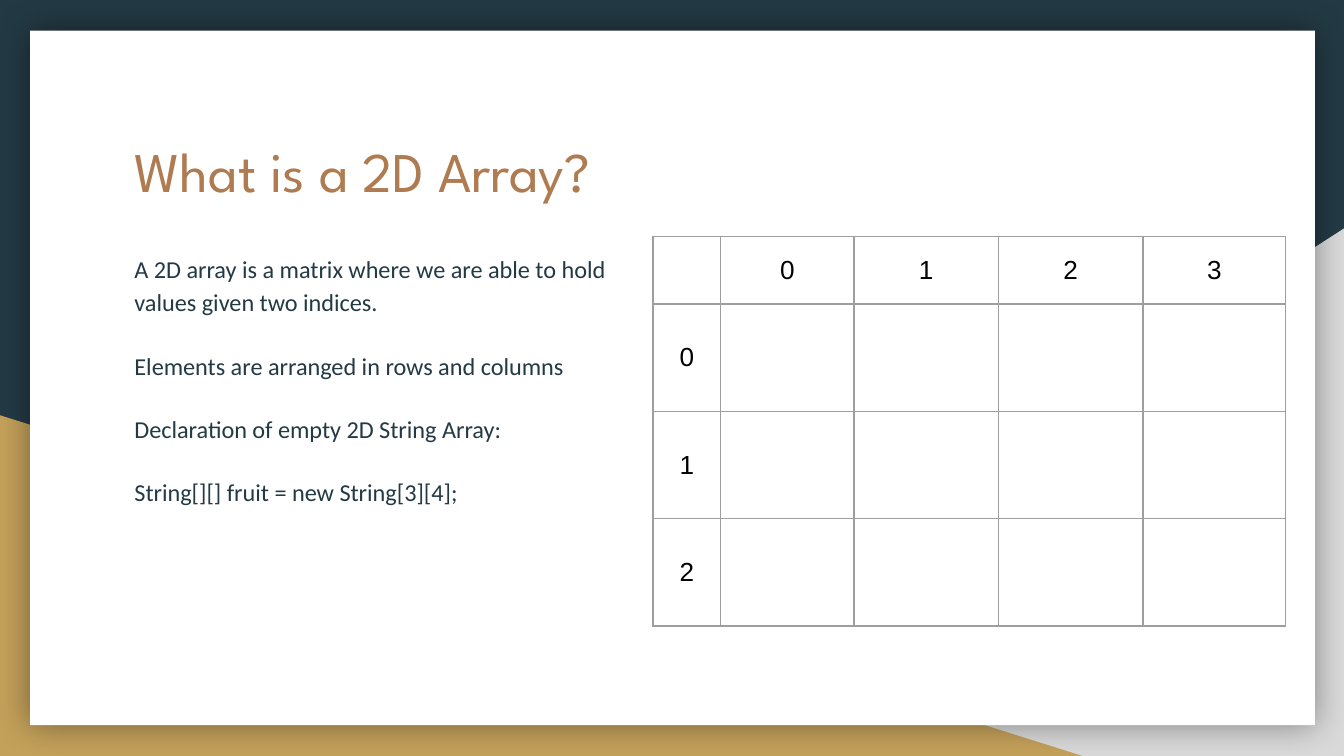
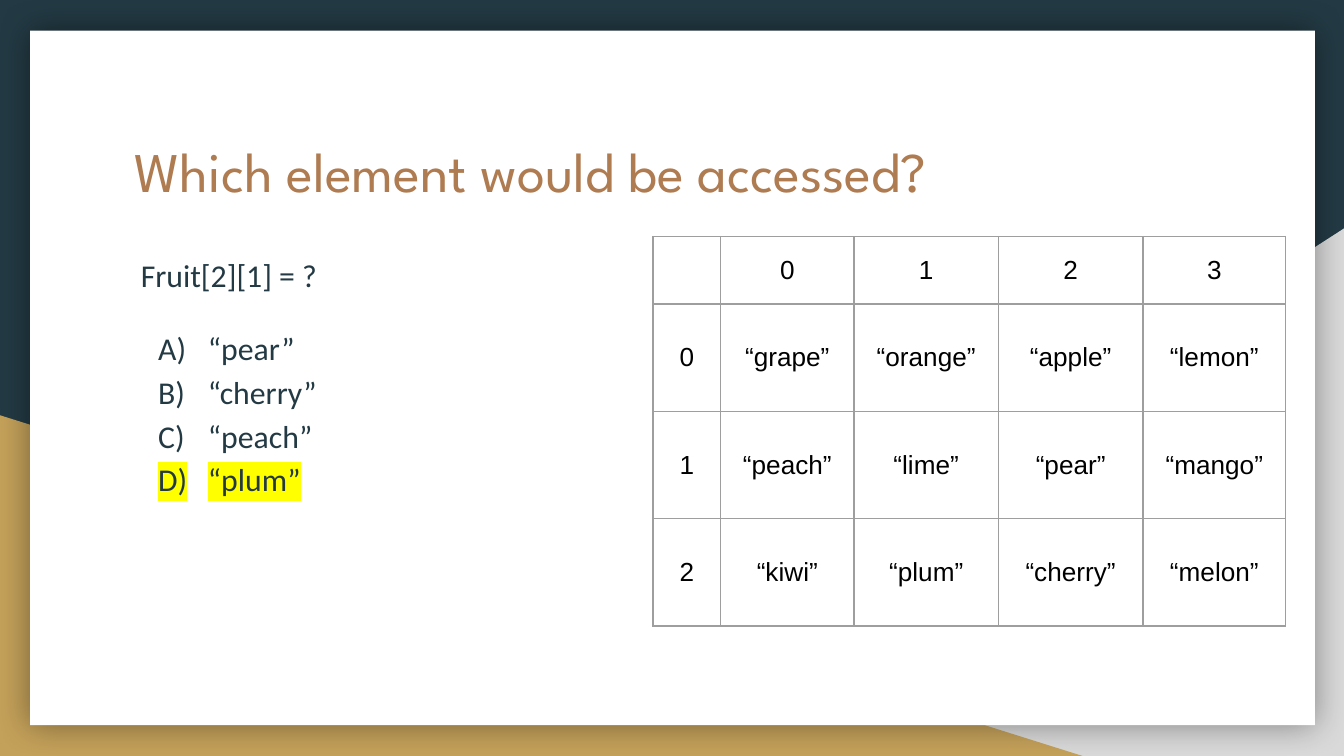
import dataclasses

import lxml.etree
import pptx
import pptx.dml.color
import pptx.enum.shapes
import pptx.enum.text
import pptx.oxml.ns
import pptx.util

Cm, Pt = pptx.util.Cm, pptx.util.Pt
RGB = pptx.dml.color.RGBColor.from_string
qn = pptx.oxml.ns.qn
SHAPE = pptx.enum.shapes.MSO_SHAPE
ANCHOR = pptx.enum.text.MSO_ANCHOR
ALIGN = pptx.enum.text.PP_ALIGN


@dataclasses.dataclass(frozen=True)
class Theme:
    navy: str = "233A44"
    gold: str = "C4A15A"
    gray: str = "D9D9D9"
    white: str = "FFFFFF"
    copper: str = "AF7B51"
    black: str = "000000"
    grid: str = "9E9E9E"
    marker: str = "FFFF00"
    title_font: str = "League Spartan"
    body_font: str = "Calibri"
    table_font: str = "Arial"
    title_size: int = 30
    text_size: int = 13
    quiz_size: int = 17
    table_size: int = 14


theme = Theme()


def add_xml(parent, tag, **attrs):
    return lxml.etree.SubElement(parent, qn(tag), attrs)


def style(p, font, size, color):
    p.font.name, p.font.size = font, Pt(size)
    p.font.color.rgb = RGB(color)


# Content
slides = [
    dict(
        title="What is a 2D Array?",
        left=2.29, width=9.98, size=theme.text_size,
        lines=[
            "A 2D array is a matrix where we are able to hold values given two indices.",
            "Elements are arranged in rows and columns",
            "Declaration of empty 2D String Array:",
            "String[][] fruit = new String[3][4];",
        ],
        options=[], answer=None,
        fruit=[[""] * 4] * 3,
    ),
    dict(
        title="Which element would be accessed?",
        left=2.41, width=9.04, size=theme.quiz_size,
        lines=["Fruit[2][1] = ?"],
        options=["“pear”", "“cherry”", "“peach”", "“plum”"], answer="“plum”",
        fruit=[
            ["“grape”", "“orange”", "“apple”", "“lemon”"],
            ["“peach”", "“lime”", "“pear”", "“mango”"],
            ["“kiwi”", "“plum”", "“cherry”", "“melon”"],
        ],
    ),
]

prs = pptx.Presentation()
prs.slide_width, prs.slide_height = Cm(25.4), Cm(14.29)
layout = prs.slide_layouts[1]
for _ in slides:
    prs.slides.add_slide(layout)

# Shared backdrop, moved to the layout behind its placeholders
layout.background.fill.solid()
layout.background.fill.fore_color.rgb = RGB(theme.navy)
backdrop = [
    (SHAPE.RIGHT_TRIANGLE, theme.gray, (9.96, 4.32, 15.44, 9.97)),
    (SHAPE.RIGHT_TRIANGLE, theme.gold, (0, 7.85, 20.46, 6.44)),
    (SHAPE.RECTANGLE, theme.white, (0.57, 0.58, 24.28, 13.13)),
]
shapes = []
for i, (kind, color, box) in enumerate(backdrop):
    sp = prs.slides[0].shapes.add_shape(kind, *map(Cm, box))
    sp.shadow.inherit = False
    sp.fill.solid()
    sp.fill.fore_color.rgb = RGB(color)
    sp.line.fill.background()
    layout.shapes.element.insert(2 + i, sp.element)
    shapes.append(sp)
gray_triangle, gold_triangle, panel = shapes
gray_triangle.element.spPr.find(qn("a:xfrm")).set("flipH", "1")
effects = panel.element.spPr.find(qn("a:effectLst"))
shadow = add_xml(effects, "a:outerShdw", blurRad=str(Pt(18)), dist="0", rotWithShape="0")
add_xml(add_xml(shadow, "a:srgbClr", val=theme.black), "a:alpha", val="40000")

for s, content in zip(prs.slides, slides):
    # Title and body frames
    title, body = s.shapes.title, s.placeholders[1]
    frames = [(title, (2.29, 2.34, 20.86, 2.64)),
              (body, (content["left"], 4.47, content["width"], 6.81))]
    for sp, box in frames:
        sp.left, sp.top, sp.width, sp.height = map(Cm, box)
        tf = sp.text_frame
        tf.word_wrap = True
        tf.auto_size = pptx.enum.text.MSO_AUTO_SIZE.NONE
        tf.vertical_anchor = ANCHOR.TOP
        tf.margin_left = tf.margin_right = tf.margin_top = tf.margin_bottom = Cm(0.25)

    title.text_frame.text = content["title"]
    p = title.text_frame.paragraphs[0]
    p.alignment, p.line_spacing = ALIGN.LEFT, 1.0
    style(p, theme.title_font, theme.title_size, theme.copper)

    # Body lines, then lettered options
    lines, options = content["lines"], content["options"]
    tf = body.text_frame
    tf.text = "\n".join(lines + options)
    for i, p in enumerate(tf.paragraphs):
        p.line_spacing = 1.15
        p.space_before = Pt(16 if 0 < i <= len(lines) else 0)
        p.space_after = Pt(0)
        style(p, theme.body_font, content["size"], theme.navy)
        is_option = i >= len(lines)
        pPr = p._p.get_or_add_pPr()
        pPr.set("marL", str(Cm(1.27 if is_option else 0)))
        pPr.set("indent", str(Cm(-0.94 if is_option else 0)))
        bullet = add_xml(pPr, "a:buAutoNum", type="alphaUcParenR") if is_option \
            else add_xml(pPr, "a:buNone")
        pPr.find(qn("a:defRPr")).addprevious(bullet)
        if p.text == content["answer"]:
            rPr = p.runs[0]._r.get_or_add_rPr()
            add_xml(add_xml(rPr, "a:highlight"), "a:srgbClr", val=theme.marker)

    # Array grid with row and column indices
    rows = [["", "0", "1", "2", "3"]]
    rows += [[str(i), *row] for i, row in enumerate(content["fruit"])]
    widths, heights = [1.28, 2.52, 2.73, 2.73, 2.7], [1.1, 2.03, 2.03, 2.03]
    table = s.shapes.add_table(len(rows), len(widths), Cm(12.34), Cm(4.47),
                               Cm(sum(widths)), Cm(sum(heights))).table
    table.first_row = table.horz_banding = False
    for col, width in zip(table.columns, widths):
        col.width = Cm(width)
    for row, height, texts in zip(table.rows, heights, rows):
        row.height = Cm(height)
        for cell, text in zip(row.cells, texts):
            cell.vertical_anchor = ANCHOR.MIDDLE
            cell.margin_left = cell.margin_right = Cm(0.25)
            cell.margin_top = cell.margin_bottom = Cm(0.25)
            tcPr = cell._tc.get_or_add_tcPr()
            for side in "LRTB":
                ln = add_xml(tcPr, f"a:ln{side}", w=str(Pt(0.75)))
                add_xml(add_xml(ln, "a:solidFill"), "a:srgbClr", val=theme.grid)
            cell.fill.background()
            if text:
                cell.text = text
                p = cell.text_frame.paragraphs[0]
                p.alignment = ALIGN.CENTER
                style(p, theme.table_font, theme.table_size, theme.black)

prs.save("out.pptx")
